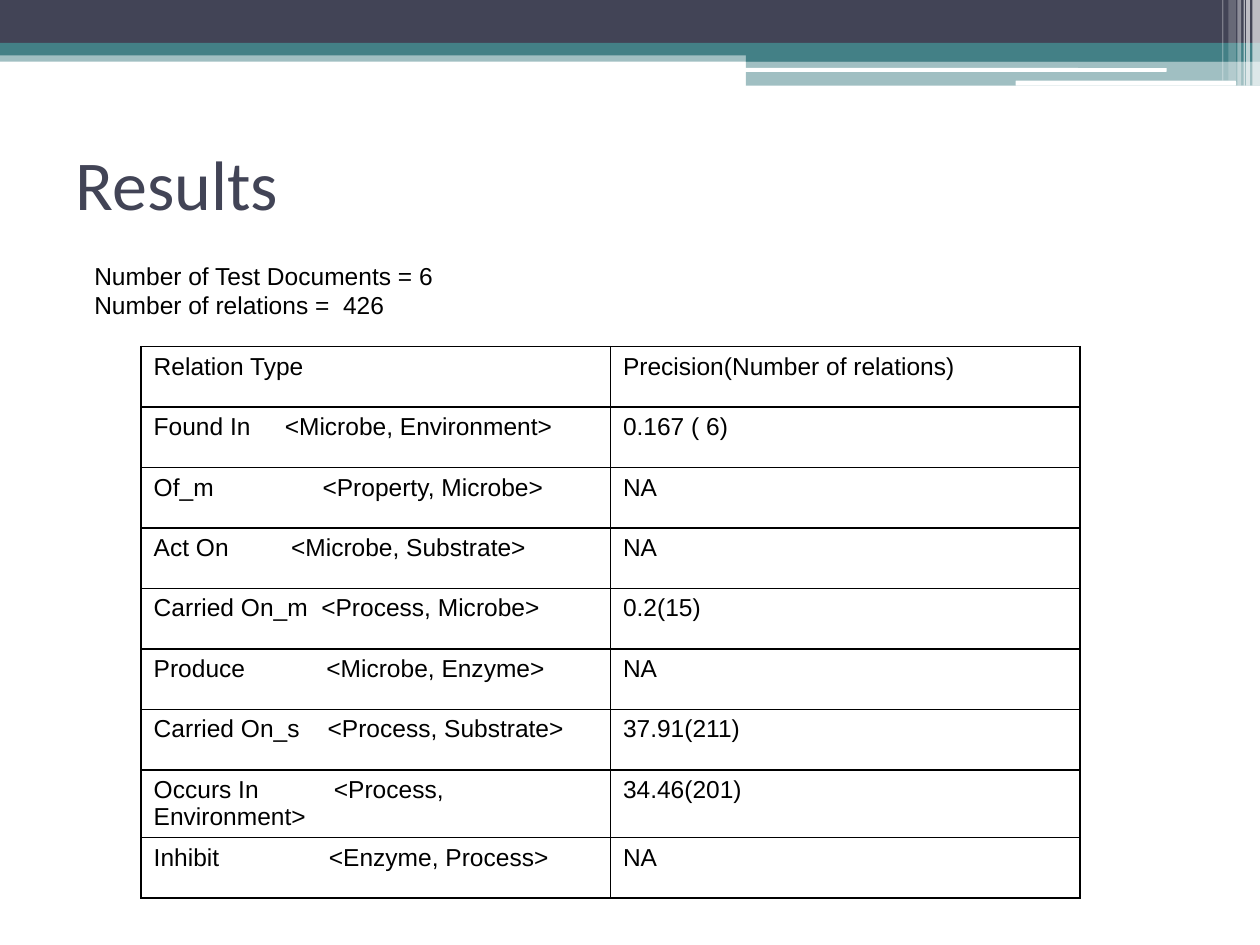
from dataclasses import dataclass

from lxml import etree
from pptx import Presentation
from pptx.dml.color import RGBColor
from pptx.enum.shapes import MSO_SHAPE
from pptx.enum.text import MSO_ANCHOR, PP_ALIGN
from pptx.oxml.ns import qn
from pptx.util import Inches, Pt

RECT, ROUND = MSO_SHAPE.RECTANGLE, MSO_SHAPE.ROUNDED_RECTANGLE
LEFT, MIDDLE = PP_ALIGN.LEFT, MSO_ANCHOR.MIDDLE


@dataclass(frozen=True)
class Theme:
    navy: str = "424456"
    teal: str = "438086"
    white: str = "FFFFFF"
    ink: str = "000000"
    head: str = "Calibri"
    body: str = "Arial"
    big: int = 40
    small: int = 14


# left, top, width, height, shape, theme colour, opacity in percent
BANDS = [
    (0, 0.4, 10, 0.09, RECT, "teal", 50),
    (0, 0, 10, 0.34, RECT, "navy", 100),
    (0, 0.34, 10, 0.1, RECT, "teal", 100),
    (5.92, 0.39, 4.08, 0.1, RECT, "teal", 100),
    (5.92, 0.48, 4.08, 0.2, RECT, "teal", 50),
    (5.91, 0.54, 3.35, 0.03, ROUND, "white", 100),
    (8.06, 0.64, 1.75, 0.04, ROUND, "white", 100),
]
# left, width, height, opacity in percent
STRIPES = [
    (9.94, 0.06, 0.68, 65),
    (9.89, 0.03, 0.68, 65),
    (9.87, 0.01, 0.68, 60),
    (9.82, 0.03, 0.68, 40),
    (9.75, 0.06, 0.64, 20),
    (9.7, 0.01, 0.64, 30),
]
# relation, tab stop, arguments, precision
RELATIONS = [
    ("Found In", 1.04, "<Microbe, Environment>", "0.167 ( 6)"),
    ("Of_m", 1.34, "<Property, Microbe>", "NA"),
    ("Act On", 1.09, "<Microbe, Substrate>", "NA"),
    ("Carried On_m", 1.33, "<Process, Microbe>", "0.2(15)"),
    ("Produce", 1.37, "<Microbe, Enzyme>", "NA"),
    ("Carried On_s", 1.38, "<Process, Substrate>", "37.91(211)"),
    ("Occurs In", 1.43, "<Process, Environment>", "34.46(201)"),
    ("Inhibit", 1.39, "<Enzyme, Process>", "NA"),
]


class Deck:
    def __init__(self, theme):
        self.theme = theme
        self.prs = Presentation()
        self.prs.slide_width, self.prs.slide_height = Inches(10), Inches(7.5)
        self.slide = self.prs.slides.add_slide(self.prs.slide_layouts[5])

    def fill_text(self, frame, lines, size, face, color):
        frame.text = "\n".join(lines)
        look = {"size": Pt(size), "name": face}
        for para in frame.paragraphs:
            para.alignment = LEFT
            for run in para.runs:
                for key, value in look.items():
                    setattr(run.font, key, value)
                run.font.color.rgb = RGBColor.from_string(color)

    def title(self, text, box):
        shape = self.slide.shapes.title
        for key, value in zip(("left", "top", "width", "height"), box):
            setattr(shape, key, Inches(value))
        t = self.theme
        self.fill_text(shape.text_frame, [text], t.big, t.head, t.navy)
        shape.text_frame.vertical_anchor = MIDDLE

    def text(self, lines, box):
        shape = self.slide.shapes.add_textbox(*map(Inches, box))
        shape.text_frame.word_wrap = True
        t = self.theme
        self.fill_text(shape.text_frame, lines, t.small, t.body, t.ink)

    def band(self, box, kind, color, alpha):
        shape = self.slide.shapes.add_shape(kind, *map(Inches, box))
        shape.shadow.inherit = False
        shape.line.fill.background()
        shape.fill.solid()
        shape.fill.fore_color.rgb = RGBColor.from_string(color)
        if alpha < 100:
            tone = shape.element.spPr.find(".//" + qn("a:srgbClr"))
            etree.SubElement(tone, qn("a:alpha"), val=str(alpha * 1000))

    def frame(self, cell):
        """Draw a thin line on all four sides of a cell."""
        props = cell._tc.get_or_add_tcPr()
        for spot, side in enumerate(("lnL", "lnR", "lnT", "lnB")):
            line = etree.Element(qn("a:" + side), w=str(Pt(1)))
            fill = etree.SubElement(line, qn("a:solidFill"))
            etree.SubElement(fill, qn("a:srgbClr"), val=self.theme.ink)
            props.insert(spot, line)

    def tab(self, para, stop):
        tabs = etree.SubElement(para._p.get_or_add_pPr(), qn("a:tabLst"))
        etree.SubElement(tabs, qn("a:tab"), pos=str(Inches(stop)), algn="l")

    def table(self, rows, stops, box, high):
        shape = self.slide.shapes.add_table(
            len(rows), len(rows[0]), *map(Inches, box))
        grid, t = shape.table, self.theme
        grid.first_row = grid.horz_banding = False
        for r, row in enumerate(rows):
            grid.rows[r].height = Inches(high)
            for c, words in enumerate(row):
                cell = grid.cell(r, c)
                self.fill_text(cell.text_frame, [words],
                               t.small, t.body, t.ink)
                cell.fill.background()
                self.frame(cell)
        for r, stop in enumerate(stops, 1):
            self.tab(grid.cell(r, 0).text_frame.paragraphs[0], stop)


def main():
    theme = Theme()
    deck = Deck(theme)
    for *box, kind, color, alpha in BANDS:
        deck.band(box, kind, getattr(theme, color), alpha)
    for left, wide, high, alpha in STRIPES:
        deck.band((left, 0, wide, high), RECT, theme.white, alpha)
    deck.title("Results", (0.5, 0.86, 9, 1.17))
    rows = [("Relation Type", "Precision(Number of relations)")]
    rows += [(f"{name}\t{args}", score) for name, _, args, score in RELATIONS]
    stops = [stop for _, stop, _, _ in RELATIONS]
    deck.table(rows, stops, (1.12, 2.75, 7.45, 4.32), 0.48)
    deck.text(["Number of Test Documents = 6", "Number of relations =  426"],
              (0.65, 2.02, 8.69, 0.57))
    deck.prs.save("out.pptx")


if __name__ == "__main__":
    main()
